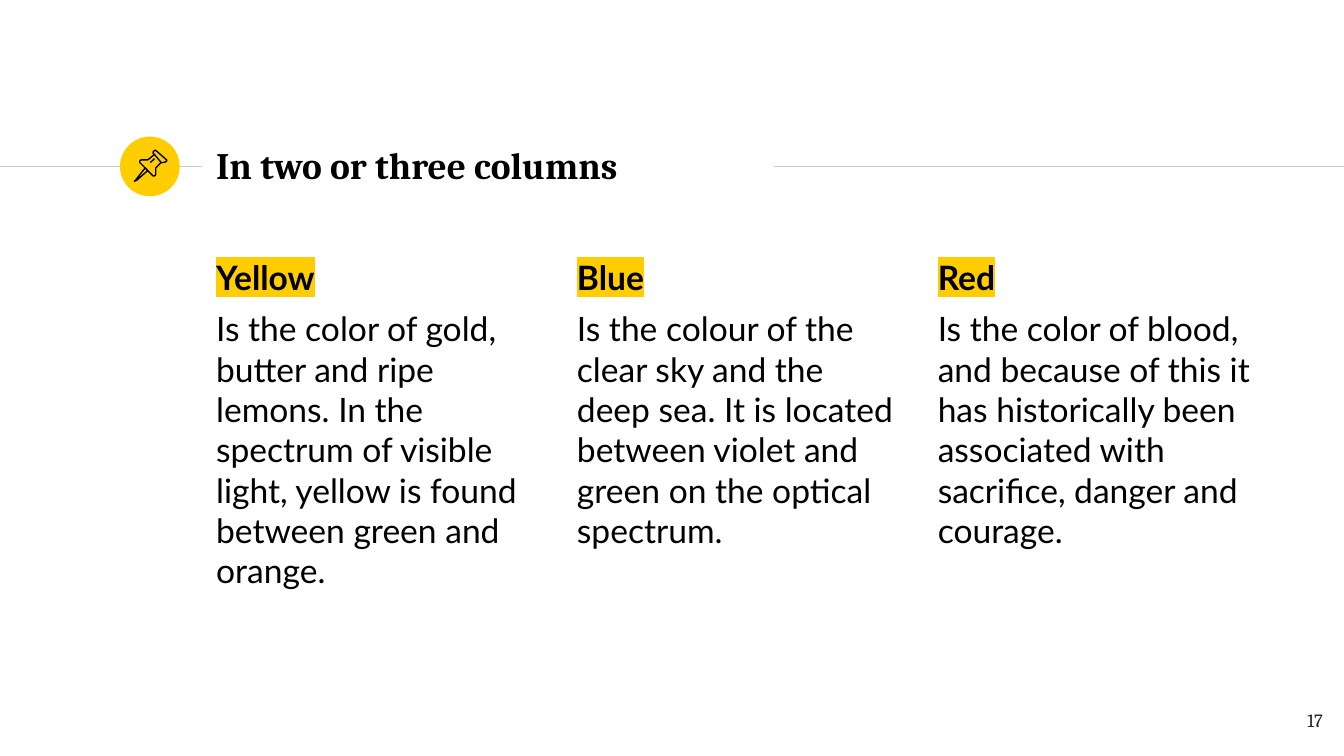
import pptx
import pptx.util
import pptx.dml.color
import pptx.enum.shapes
import pptx.enum.text
import pptx.oxml
import pptx.oxml.ns

Pt = pptx.util.Pt
Color = pptx.dml.color.RGBColor
Align = pptx.enum.text.PP_ALIGN
Anchor = pptx.enum.text.MSO_ANCHOR

BLACK = Color(0, 0, 0)
INK = Color(0x1D, 0x1D, 0x1B)
YELLOW = Color(0xFF, 0xCD, 0x00)
GREY = Color(0xCC, 0xCC, 0xCC)

WIDTH, HEIGHT = 720, 405
INSET = 7.2

NEEDLE = [(13.5, 16.8), (8.4, 23.3), (7.7, 24), (9.1, 23.3), (14.9, 18.2)]
CAP = [(18.5, 9.6), (22.1, 13.9), (23.2, 13.9), (24.3, 13.6), (25, 13.2),
       (25, 12.5), (19.2, 7.4), (18.5, 7.4), (17.8, 8.2), (17.8, 8.9)]
BODY = [(18.5, 9.6), (14.9, 12.5), (12.7, 12.5), (11.3, 12.5), (10.6, 13.2),
        (10.6, 13.9), (17.8, 21.1), (18.5, 21.1), (19.2, 20.4), (19.2, 16.8),
        (22.1, 13.9)]
SHINE = [(16.3, 13.9), (18.5, 11.8)]
PIN = [(NEEDLE, True), (CAP, True), (BODY, False), (SHINE, False)]

COLUMNS = [
    ("Yellow", "Is the color of gold, butter and ripe lemons. In the spectrum of "
     "visible light, yellow is found between green and orange."),
    ("Blue", "Is the colour of the clear sky and the deep sea. It is located "
     "between violet and green on the optical spectrum."),
    ("Red", "Is the color of blood, and because of this it has historically been "
     "associated with sacrifice, danger and courage."),
]


def add_frame(slide, left, top, width, height):
    box = slide.shapes.add_textbox(Pt(left), Pt(top), Pt(width), Pt(height))
    frame = box.text_frame
    frame.word_wrap = True
    frame.margin_left = frame.margin_right = Pt(INSET)
    frame.margin_top = frame.margin_bottom = Pt(INSET)
    return frame


def style(para, size, face, color, bold=False):
    for run in para.runs:
        font = run.font
        font.size, font.name, font.bold = Pt(size), face, bold
        font.color.rgb = color


def mark(run, color):
    light = pptx.oxml.parse_xml(
        f'<a:highlight {pptx.oxml.ns.nsdecls("a")}>'
        f'<a:srgbClr val="{color}"/></a:highlight>')
    run.font.fill._xPr.find(pptx.oxml.ns.qn("a:solidFill")).addnext(light)


def add_rule(slide, left, right, y):
    rule = slide.shapes.add_connector(
        pptx.enum.shapes.MSO_CONNECTOR.STRAIGHT, Pt(left), Pt(y), Pt(right), Pt(y))
    rule.line.color.rgb = GREY
    rule.line.width = Pt(0.75)
    rule._element.spPr.append(
        pptx.oxml.parse_xml(f'<a:effectLst {pptx.oxml.ns.nsdecls("a")}/>'))


def add_badge(slide, left, top, size):
    disc = slide.shapes.add_shape(
        pptx.enum.shapes.MSO_SHAPE.OVAL, Pt(left), Pt(top), Pt(size), Pt(size))
    disc.shadow.inherit = False
    disc.fill.solid()
    disc.fill.fore_color.rgb = YELLOW
    disc.line.fill.background()
    group = slide.shapes.add_group_shape()
    for path, closed in PIN:
        spots = [(Pt(left + x), Pt(top + y)) for x, y in path]
        pen = group.shapes.build_freeform(*spots[0])
        pen.add_line_segments(spots[1:], close=closed)
        part = pen.convert_to_shape()
        part.shadow.inherit = False
        part.fill.background()
        part.line.color.rgb = BLACK
        part.line.width = Pt(0.75)


def add_header(slide, left, top, width, height):
    y = top + 18.6
    add_rule(slide, 0, left - 0.5, y)
    add_badge(slide, left - 44.4, y - 16, 32)
    add_rule(slide, left + width + 0.5, WIDTH, y)
    frame = add_frame(slide, left, top, width, height)
    frame.vertical_anchor = Anchor.MIDDLE
    frame.text = "In two or three columns"
    style(frame.paragraphs[0], 20, "Cambria", BLACK, True)


def add_column(slide, left, top, width, height, head, body):
    frame = add_frame(slide, left, top, width, height)
    frame.text = f"{head}\n{body}"
    for para, bold in zip(frame.paragraphs, (True, False)):
        para.space_before = Pt(6)
        style(para, 18, "Lato", BLACK, bold)
    mark(frame.paragraphs[0].runs[0], YELLOW)


def add_columns(slide, left, top, width, height, gap):
    each = (width - gap * (len(COLUMNS) - 1)) / len(COLUMNS)
    for i, (head, body) in enumerate(COLUMNS):
        add_column(slide, left + i * (each + gap), top, each, height, head, body)


def add_number(slide, left, top, width, height):
    frame = add_frame(slide, left, top, width, height)
    frame.text = "17"
    frame.paragraphs[0].alignment = Align.RIGHT
    style(frame.paragraphs[0], 10, "Cambria", INK)


def main():
    deck = pptx.Presentation()
    deck.slide_width, deck.slide_height = Pt(WIDTH), Pt(HEIGHT)
    slide = deck.slides.add_slide(deck.slide_layouts[6])
    add_header(slide, 108.7, 70.6, 305.3, 34.6)
    add_columns(slide, 108.7, 130.3, 570.3, 245.5, 9.6)
    add_number(slide, 672.5, 373.7, 43.2, 31)
    deck.save("out.pptx")


if __name__ == "__main__":
    main()
